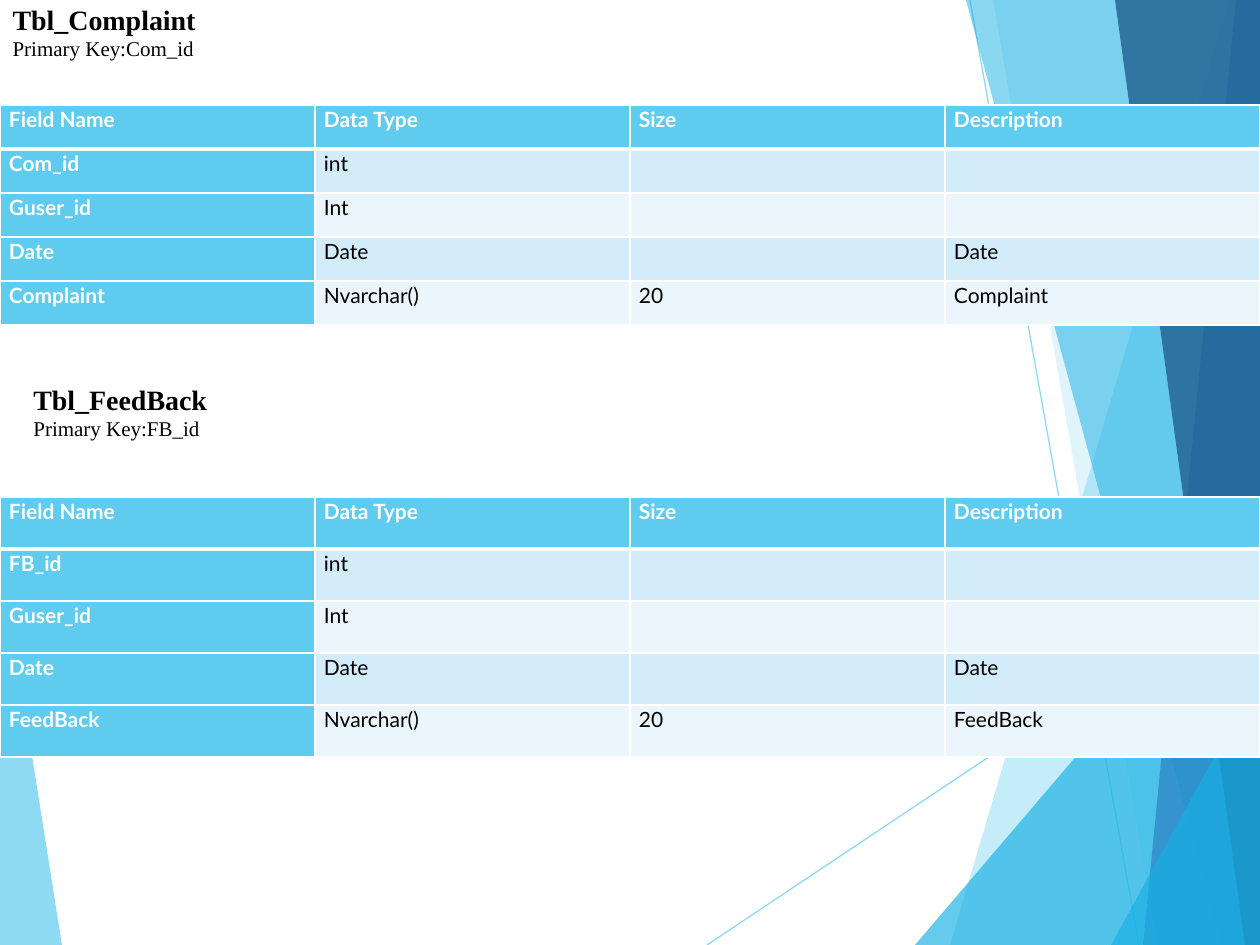
import dataclasses

import pptx
import pptx.dml.color
import pptx.enum.shapes
import pptx.enum.text
import pptx.oxml
import pptx.oxml.ns
import pptx.util

SCALE = 914400 / 126
W, H = 1260, 945


@dataclasses.dataclass(frozen=True)
class Theme:
    sky: str = "5FCBEF"
    cyan: str = "17B0E4"
    blue: str = "2E83C3"
    navy: str = "226292"
    band_dark: str = "D2ECF9"
    band_light: str = "EAF6FC"
    white: str = "FFFFFF"
    black: str = "000000"
    heading_font: str = "Times New Roman"
    table_font: str = "Lato"
    heading_size: int = 16
    text_size: int = 12


def px(n):
    return pptx.util.Emu(round(n * SCALE))


def rgb(value):
    return pptx.dml.color.RGBColor.from_string(value)


def add_text(p, text, *, size, font, color, bold=False):
    r = p.add_run()
    r.text = text
    r.font.size = pptx.util.Pt(size)
    r.font.name = font
    r.font.bold = bold
    r.font.color.rgb = rgb(color)


def set_alpha(fill_parent, percent):
    clr = fill_parent.find(".//" + pptx.oxml.ns.qn("a:srgbClr"))
    alpha = pptx.oxml.parse_xml(f'<a:alpha {pptx.oxml.ns.nsdecls("a")} val="{percent * 1000}"/>')
    clr.append(alpha)


def set_borders(cell, color, **widths):
    tc_pr = cell._tc.get_or_add_tcPr()
    for side in "LRTB":
        tc_pr.append(pptx.oxml.parse_xml(
            f'<a:ln{side} {pptx.oxml.ns.nsdecls("a")} w="{widths.get(side, 1) * 12700}">'
            f'<a:solidFill><a:srgbClr val="{color}"/></a:solidFill></a:ln{side}>'))


class SlideBuilder:
    def __init__(self, slide, theme):
        self.s = slide
        self.theme = theme

    def polygon(self, points, color, alpha):
        fb = self.s.shapes.build_freeform(*points[0], scale=SCALE)
        fb.add_line_segments(points[1:], close=True)
        sp = fb.convert_to_shape()
        sp.shadow.inherit = False
        sp.fill.solid()
        sp.fill.fore_color.rgb = rgb(color)
        sp.line.fill.background()
        set_alpha(sp._element.spPr, alpha)

    def band(self, top_x, bottom_x, color, alpha):
        self.polygon([(top_x, 0), (bottom_x, H), (W, H), (W, 0)], color, alpha)

    def wedge(self, left_x, top_y, color, alpha):
        self.polygon([(left_x, H), (W, top_y), (W, H)], color, alpha)

    def line(self, x1, y1, x2, y2):
        cx = self.s.shapes.add_connector(
            pptx.enum.shapes.MSO_CONNECTOR.STRAIGHT, px(x1), px(y1), px(x2), px(y2))
        cx.line.width = pptx.util.Pt(0.75)
        cx.line.color.rgb = rgb(self.theme.sky)
        sp_pr = cx._element.spPr
        set_alpha(sp_pr, 70)
        sp_pr.append(pptx.oxml.parse_xml(f'<a:effectLst {pptx.oxml.ns.nsdecls("a")}/>'))

    def heading(self, sp, x, y, title, key):
        t = self.theme
        sp.left, sp.top, sp.width, sp.height = px(x), px(y), px(W - x), px(63)
        tf = sp.text_frame
        tf.word_wrap = True
        tf.auto_size = pptx.enum.text.MSO_AUTO_SIZE.NONE
        tf.vertical_anchor = pptx.enum.text.MSO_ANCHOR.MIDDLE
        lines = [(title, t.heading_size, True), (f"Primary Key:{key}", t.text_size, False)]
        for i, (text, size, bold) in enumerate(lines):
            p = tf.add_paragraph() if i else tf.paragraphs[0]
            p.alignment = pptx.enum.text.PP_ALIGN.LEFT
            add_text(p, text, size=size, font=t.heading_font, color=t.black, bold=bold)

    def table(self, y, row_h, rows):
        t = self.theme
        n_rows, n_cols = len(rows), len(rows[0])
        table = self.s.shapes.add_table(
            n_rows, n_cols, 0, px(y), px(W), px(row_h * n_rows)).table
        table.first_row = table.horz_banding = False
        for i, row in enumerate(rows):
            table.rows[i].height = px(row_h)
            for j, text in enumerate(row):
                cell = table.cell(i, j)
                cell.margin_left = cell.margin_right = px(9)
                cell.margin_top = cell.margin_bottom = 0
                set_borders(cell, t.white, T=3 if i == 1 else 1, B=3 if i == 0 else 1)
                label = i == 0 or j == 0
                cell.fill.solid()
                cell.fill.fore_color.rgb = rgb(
                    t.sky if label else t.band_dark if i % 2 else t.band_light)
                if text:
                    p = cell.text_frame.paragraphs[0]
                    p.line_spacing = 1.07
                    add_text(p, text, size=t.text_size, font=t.table_font,
                             color=t.white if label else t.black, bold=label)


def field_rows(key, content):
    return [
        ("Field Name", "Data Type", "Size", "Description"),
        (key, "int", "", ""),
        ("Guser_id", "Int", "", ""),
        ("Date", "Date", "", "Date"),
        (content, "Nvarchar()", "20", content),
    ]


def main():
    prs = pptx.Presentation()
    prs.slide_width, prs.slide_height = px(W), px(H)
    theme = Theme()
    s = prs.slides.add_slide(prs.slide_layouts[5])
    b = SlideBuilder(s, theme)

    b.polygon([(0, 553), (62, H), (0, H)], theme.sky, 70)
    b.line(707, H, W, 576)
    b.line(970, 0, 1139, H)
    b.band(1229, 950, theme.sky, 36)
    b.band(993, 1158, theme.sky, 20)
    b.wedge(915, 541, theme.cyan, 66)
    b.band(966, 1222, theme.cyan, 50)
    b.band(1236, 1143, theme.blue, 70)
    b.band(1115, 1245, theme.navy, 82)
    b.wedge(1111, 674, theme.cyan, 66)

    b.table(105, 44, field_rows("Com_id", "Complaint"))
    b.heading(s.shapes.title, 0, 0, "Tbl_Complaint", "Com_id")
    b.table(497, 52, field_rows("FB_id", "FeedBack"))
    b.heading(s.shapes.add_textbox(0, 0, 0, 0), 21, 380, "Tbl_FeedBack", "FB_id")

    prs.save("out.pptx")


if __name__ == "__main__":
    main()
